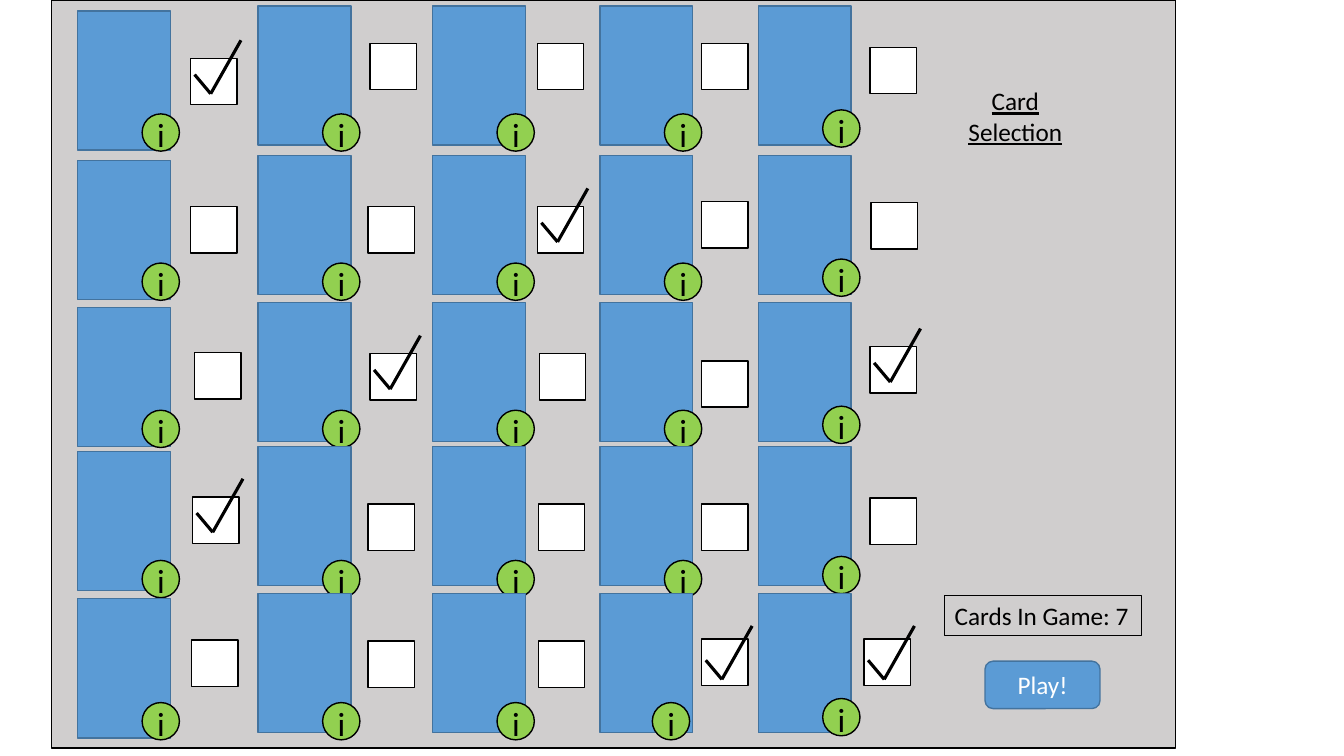
from lxml import etree
from pptx import Presentation
from pptx.dml.color import RGBColor
from pptx.enum import shapes, text
from pptx.oxml import ns
from pptx.util import Inches, Pt

BLACK, WHITE, BLUE, BLUE_EDGE = "000000", "FFFFFF", "5B9BD5", "43739E"
GREY, GREEN = "D0CECE", "92D050"
colour = RGBColor.from_string
SHAPE = shapes.MSO_SHAPE


def add_box(parent, kind, left, top, width, height, fill, edge=BLACK):
    box = parent.shapes.add_shape(kind, *map(Inches, (left, top, width, height)))
    box.shadow.inherit = False
    box.fill.solid()
    box.fill.fore_color.rgb = colour(fill)
    box.line.color.rgb = colour(edge)
    box.line.width = Pt(1)
    return box


def write(frame, lines, size=18, ink=BLACK, align=text.PP_ALIGN.CENTER, underline=None):
    frame.word_wrap = False
    for number, words in enumerate(lines):
        paragraph = frame.add_paragraph() if number else frame.paragraphs[0]
        paragraph.alignment = align
        run = paragraph.add_run()
        run.text = words
        run.font.name = "Calibri"
        run.font.size = Pt(size)
        run.font.underline = underline
        run.font.color.rgb = colour(ink)


deck = Presentation()
deck.slide_width, deck.slide_height = Inches(13.33), Inches(7.5)
slide = deck.slides.add_slide(deck.slide_layouts[5])

heading = slide.shapes.title
heading.left, heading.top = Inches(9.5), Inches(0.8)
heading.width, heading.height = Inches(1.14), Inches(0.71)
heading.text_frame.auto_size = text.MSO_AUTO_SIZE.NONE
heading.text_frame.vertical_anchor = text.MSO_ANCHOR.TOP
write(heading.text_frame, ["Card", "Selection"], underline=True)

board = add_box(slide, SHAPE.RECTANGLE, 0.51, 0, 11.15, 7.42, GREY)
heading.element.addprevious(board.element)

column_lefts = [0.77, 2.56, 4.29, 5.95, 7.52]
card_tops = [0.06, 1.54, 3, 4.43, 5.89]
badge_tops = [1.13, 2.61, 4.07, 5.56, 6.97]
checkboxes = [
    [(1.89, 0.58), (3.67, 0.43), (5.33, 0.43), (6.96, 0.43), (8.63, 0.47)],
    [(1.89, 2.05), (3.65, 2.05), (5.33, 2.05), (6.96, 2), (8.64, 2.01)],
    [(1.93, 3.5), (3.67, 3.51), (5.35, 3.51), (6.96, 3.58), (8.63, 3.44)],
    [(1.91, 4.93), (3.65, 5), (5.34, 5), (6.96, 5), (8.63, 4.94)],
    [(1.9, 6.35), (3.65, 6.36), (5.34, 6.36), (6.96, 6.34), (8.57, 6.34)],
]
selected = {(0, 0), (1, 2), (2, 1), (2, 4), (3, 0), (4, 3), (4, 4)}
tick_points = [(0.04, 0.16), (0.2, 0.35), (0.5, -0.18)]

for row, card_top in enumerate(card_tops):
    for column, left in enumerate(column_lefts):
        top = card_top + (0.05 if column == 0 else 0)
        add_box(slide, SHAPE.RECTANGLE, left, top, 0.92, 1.38, BLUE, BLUE_EDGE)

        badge_left = left + (0.52 if (row, column) == (4, 3) else 0.64)
        badge_top = badge_tops[row] - (0.04 if column == 4 else 0)
        badge = slide.shapes.add_group_shape()
        add_box(badge, SHAPE.OVAL, badge_left, badge_top, 0.37, 0.37, GREEN)
        info = badge.shapes.add_textbox(
            Inches(badge_left + 0.05), Inches(badge_top - 0.05), Inches(0.28), Inches(0.5))
        write(info.text_frame, ["i"], size=24, align=text.PP_ALIGN.LEFT)

        check_left, check_top = checkboxes[row][column]
        add_box(slide, SHAPE.RECTANGLE, check_left, check_top, 0.46, 0.46, WHITE)
        if (row, column) in selected:
            drop = 0.05 if row == 4 else 0
            tick = slide.shapes.add_group_shape()
            corners = [(Inches(check_left + x), Inches(check_top + y + drop))
                       for x, y in tick_points]
            for start, end in zip(corners, corners[1:]):
                stroke = tick.shapes.add_connector(shapes.MSO_CONNECTOR.STRAIGHT, *start, *end)
                stroke.line.color.rgb = colour(BLACK)
                stroke.line.width = Pt(2.25)
                etree.SubElement(stroke.element.spPr, ns.qn("a:effectLst"))

play = add_box(slide, SHAPE.ROUNDED_RECTANGLE, 9.77, 6.56, 1.14, 0.47, BLUE, BLUE_EDGE)
play.text_frame.vertical_anchor = text.MSO_ANCHOR.MIDDLE
write(play.text_frame, ["Play!"], ink=WHITE)

card_count = slide.shapes.add_textbox(Inches(9.37), Inches(5.91), Inches(1.95), Inches(0.4))
card_count.line.color.rgb = colour(BLACK)
card_count.line.width = Pt(0.75)
write(card_count.text_frame, ["Cards In Game: 7"], align=text.PP_ALIGN.LEFT)

deck.save("out.pptx")
